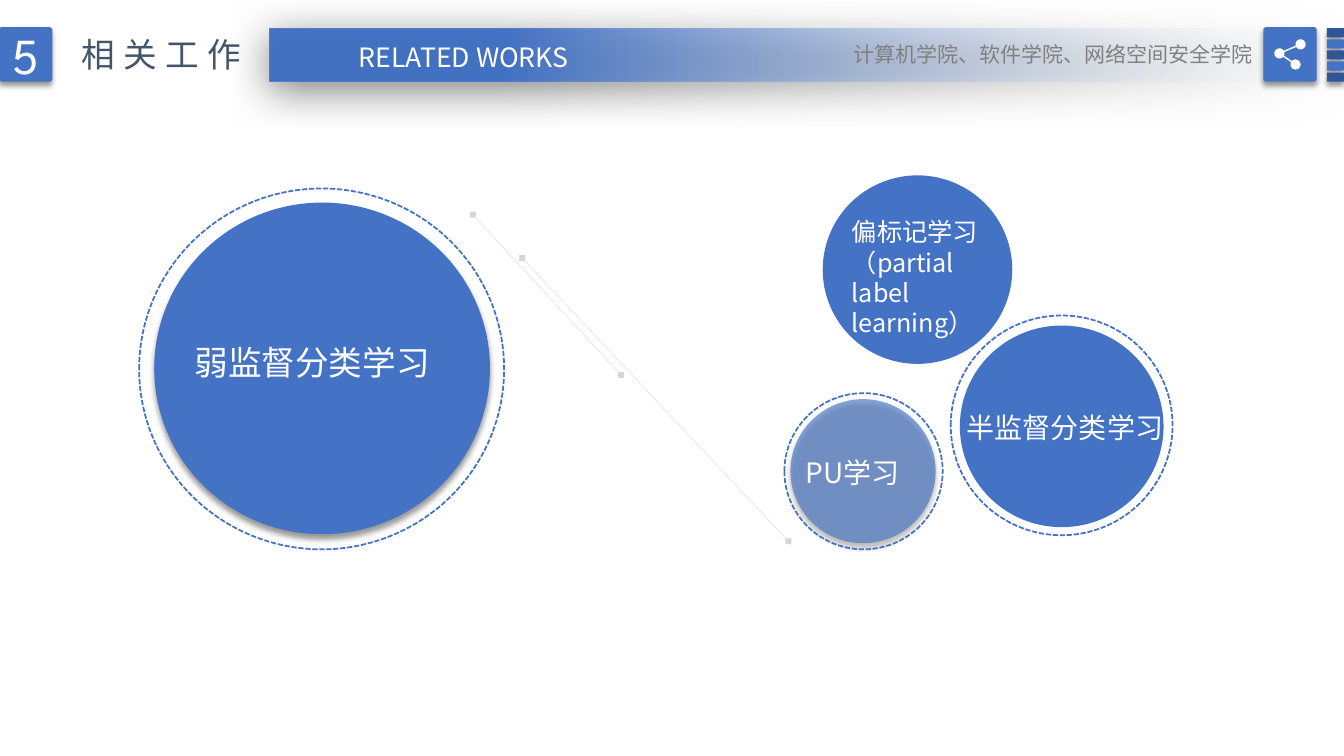
"""Builds the related-works slide on weakly supervised learning."""
from math import atan2, cos, degrees, radians, sin

from lxml.etree import SubElement
from pptx import Presentation
from pptx.dml.color import RGBColor
from pptx.enum.dml import MSO_LINE
from pptx.enum.shapes import MSO_CONNECTOR, MSO_SHAPE as Shape
from pptx.enum.text import MSO_ANCHOR as Anchor, MSO_AUTO_SIZE as AutoSize, PP_ALIGN as Align
from pptx.oxml.ns import qn
from pptx.util import Inches, Pt

BLUE = RGBColor(0x44, 0x72, 0xC4)
NAVY = RGBColor(0x2F, 0x55, 0x97)
SLATE = RGBColor(0x44, 0x54, 0x6A)
GRAY = RGBColor(0x80, 0x80, 0x80)
PALE = RGBColor(0xF7, 0xFA, 0xFD)
WHITE = RGBColor(0xFF, 0xFF, 0xFF)

SANS = "Noto Sans CJK SC"
SOFT = dict(alpha=40, blur=4, dist=3, angle=90)
WIDE = dict(alpha=50, blur=31, dist=6, angle=97)


def set_alpha(parent, percent):
    color = next(parent.iter(qn("a:srgbClr")))
    SubElement(color, qn("a:alpha"), val=str(percent * 1000))


class SlideBuilder:
    """Holds the text style and the current slide."""

    base = dict(size=Pt(20), name=SANS, color=WHITE)

    def __init__(self, slide):
        self.slide = slide
        self.shapes = slide.shapes

    def fill_text(self, sp, text, align=Align.LEFT, anchor=Anchor.TOP, wrap=True,
                  grow=True, spacing=0, **style):
        tf = sp.text_frame
        frame = dict(word_wrap=wrap, vertical_anchor=anchor,
                     auto_size=AutoSize.SHAPE_TO_FIT_TEXT if grow else AutoSize.NONE)
        for key, value in frame.items():
            setattr(tf, key, value)
        p = tf.paragraphs[0]
        p.alignment = align
        r = p.add_run()
        r.text = text
        for key, value in {**self.base, **style}.items():
            if key == "color":
                r.font.color.rgb = value
            else:
                setattr(r.font, key, value)
        rpr = r.font._element
        rpr.find(qn("a:latin")).addnext(SubElement(rpr, qn("a:ea"), typeface=SANS))
        if spacing:
            rpr.set("spc", str(spacing * 100))

    def title(self, text, box, **style):
        sp = self.shapes.title
        for key, value in zip(("left", "top", "width", "height"), box):
            setattr(sp, key, Inches(value))
        self.fill_text(sp, text, **style)

    def label(self, text, box, **style):
        sp = self.shapes.add_textbox(*map(Inches, box))
        self.fill_text(sp, text, **style)

    def shadow(self, sp, alpha, blur, dist, angle):
        effects = sp._element.spPr.find(qn("a:effectLst"))
        outer = SubElement(effects, qn("a:outerShdw"), blurRad=str(int(Pt(blur))),
                           dist=str(int(Pt(dist))), dir=str(angle * 60000),
                           algn="t", rotWithShape="0")
        SubElement(outer, qn("a:srgbClr"), val="000000")
        set_alpha(outer, alpha)

    def shape(self, kind, box, fill=BLUE, alpha=None, shadow=None):
        sp = self.shapes.add_shape(kind, *map(Inches, box))
        sp.shadow.inherit = False
        sp.line.fill.background()
        if kind == Shape.ROUNDED_RECTANGLE:
            sp.adjustments[0] = 0.05
        if fill is None:
            sp.fill.background()
        else:
            sp.fill.solid()
            sp.fill.fore_color.rgb = fill
        if alpha:
            set_alpha(sp._element.spPr, alpha)
        if shadow:
            self.shadow(sp, **shadow)
        return sp

    def ring(self, box):
        sp = self.shape(Shape.OVAL, box, fill=None)
        sp.line.color.rgb = BLUE
        sp.line.width = Pt(1.25)
        sp.line.dash_style = MSO_LINE.SQUARE_DOT

    def banner(self, box):
        sp = self.shape(Shape.RECTANGLE, box)
        sp.fill.gradient()
        sp.fill.gradient_angle = 180
        for stop, position, color in zip(sp.fill.gradient_stops, (0, 0.78), (PALE, BLUE)):
            stop.position = position
            stop.color.rgb = color
        set_alpha(sp._element.spPr, 0)
        self.shadow(sp, **WIDE)

    def diamond_line(self, start, end):
        line = self.shapes.add_connector(MSO_CONNECTOR.STRAIGHT, *map(Inches, start + end))
        line.line.color.rgb = GRAY
        line.line.width = Pt(0.25)
        ln = line._element.spPr.find(qn("a:ln"))
        set_alpha(ln, 33)
        for tag in ("a:headEnd", "a:tailEnd"):
            SubElement(ln, qn(tag), type="diamond")
        SubElement(line._element.spPr, qn("a:effectLst"))

    def share_icon(self, upper, hub, lower, radius=0.05, gap=8, steps=24):
        def bearing(a, b):
            return degrees(atan2(b[1] - a[1], b[0] - a[0]))

        def arc(center, first, last):
            angles = [radians(first + (last - first) * i / steps) for i in range(steps + 1)]
            return [(center[0] + radius * cos(t), center[1] + radius * sin(t)) for t in angles]

        up, down = bearing(hub, upper), bearing(hub, lower)
        points = (arc(upper, up + 180 + gap, up + 540 - gap)
                  + arc(hub, up + gap, down - gap)
                  + arc(lower, down + 180 + gap, down + 540 - gap)
                  + arc(hub, down + gap, up + 360 - gap))
        points = [(Inches(x), Inches(y)) for x, y in points]
        builder = self.shapes.build_freeform(*points[0])
        builder.add_line_segments(points[1:], close=True)
        sp = builder.convert_to_shape()
        sp.shadow.inherit = False
        sp.fill.solid()
        sp.fill.fore_color.rgb = WHITE
        sp.line.fill.background()


def main():
    prs = Presentation()
    prs.slide_width, prs.slide_height = Inches(13.33), Inches(7.5)
    s = SlideBuilder(prs.slides.add_slide(prs.slide_layouts[5]))

    s.shape(Shape.OVAL, (1.53, 2.01, 3.33, 3.29), shadow=SOFT)
    s.shape(Shape.OVAL, (8.16, 1.74, 1.88, 1.87))
    s.shape(Shape.OVAL, (7.84, 3.96, 1.44, 1.43), alpha=63, shadow=SOFT)
    s.shape(Shape.OVAL, (9.52, 3.23, 2.02, 2))
    for box in ((1.38, 1.87, 3.62, 3.58), (7.78, 3.9, 1.57, 1.55), (9.43, 3.13, 2.2, 2.18)):
        s.ring(box)
    s.diamond_line((5.18, 2.56), (7.82, 5.37))
    s.diamond_line((4.69, 2.13), (6.16, 3.72))

    s.label("弱监督分类学习", (1.83, 3.34, 2.89, 0.5), size=Pt(24), name="Calibri")
    s.label("偏标记学习（partial label learning）", (8.35, 2.1, 1.69, 1.31), size=Pt(18))
    s.label("PU学习", (7.89, 4.47, 1.31, 0.44))
    s.label("半监督分类学习", (9.49, 4.02, 2.22, 0.44))

    s.banner((2.67, 0.28, 10.67, 0.53))
    number = s.shape(Shape.ROUNDED_RECTANGLE, (-0.01, 0.27, 0.53, 0.54), shadow=SOFT)
    s.fill_text(number, "5", align=Align.CENTER, anchor=Anchor.MIDDLE, grow=False,
                size=Pt(36), name="League Spartan")
    s.title("相关工作", (0.71, 0.29, 1.88, 0.5), wrap=False, spacing=6,
            size=Pt(24), color=SLATE)
    s.label("RELATED WORKS", (3.4, 0.36, 2.4, 0.42), align=Align.CENTER, wrap=False,
            size=Pt(19))

    for i in range(5):
        s.shape(Shape.ROUNDED_RECTANGLE, (13.16, 0.28 + 0.11 * i, 0.17, 0.09),
                fill=BLUE if i % 2 else NAVY, shadow=SOFT)
    s.shape(Shape.ROUNDED_RECTANGLE, (12.53, 0.27, 0.53, 0.54), shadow=SOFT)
    s.share_icon((12.9, 0.44), (12.69, 0.53), (12.85, 0.64))
    s.label("计算机学院、软件学院、网络空间安全学院", (8.23, 0.36, 4.29, 0.35),
            align=Align.RIGHT, size=Pt(15), color=GRAY)

    prs.save("out.pptx")


if __name__ == "__main__":
    main()
